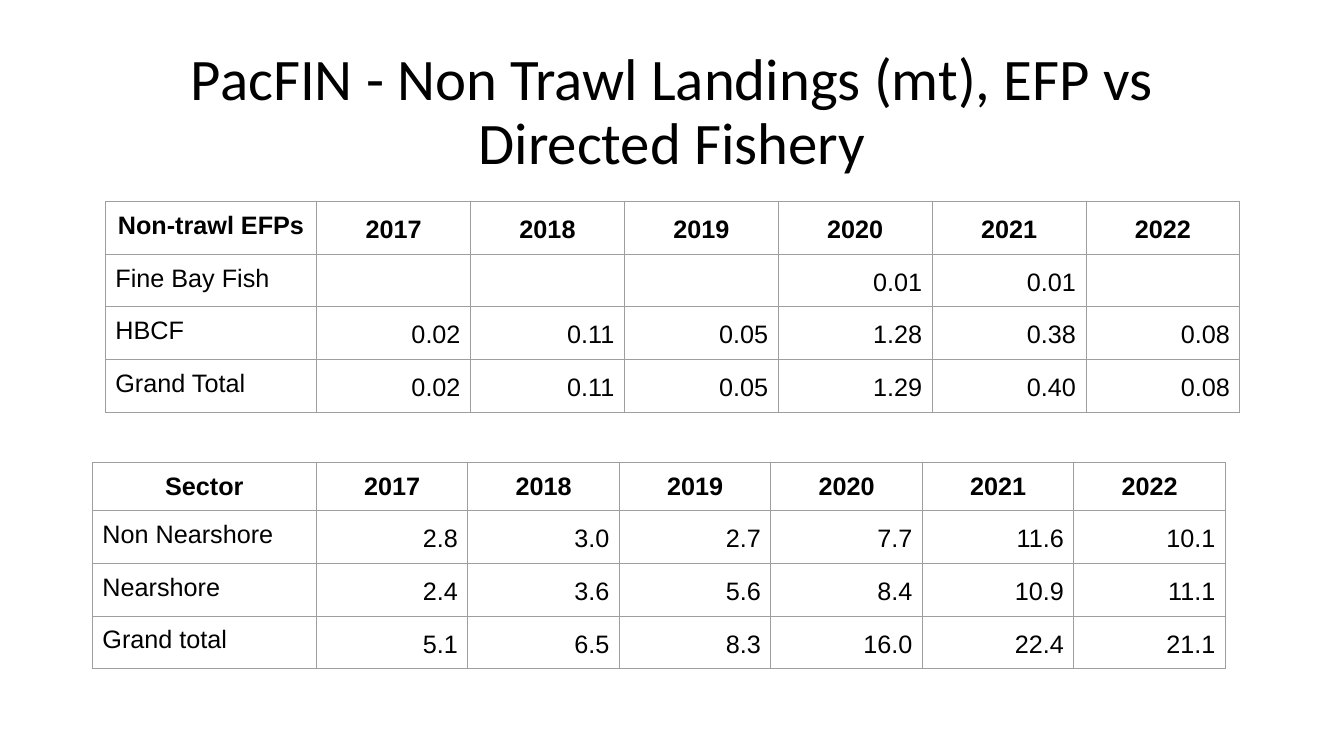
from lxml import etree
from pptx import Presentation
from pptx.dml.color import RGBColor
from pptx.enum.text import MSO_ANCHOR, PP_ALIGN
from pptx.oxml.ns import qn
from pptx.util import Pt

LEFT, CENTER, RIGHT = PP_ALIGN.LEFT, PP_ALIGN.CENTER, PP_ALIGN.RIGHT
TOP, MIDDLE = MSO_ANCHOR.TOP, MSO_ANCHOR.MIDDLE

# Content
TITLE = "PacFIN - Non Trawl Landings (mt), EFP vs Directed Fishery"
YEARS = ["2017", "2018", "2019", "2020", "2021", "2022"]
TABLES = [
    {
        "left": 75.25, "top": 144, "label_width": 151, "year_width": 109.9,
        "year_spacing": 1.15,
        "rows": [
            ["Non-trawl EFPs", *YEARS],
            ["Fine Bay Fish", "", "", "", "0.01", "0.01", ""],
            ["HBCF", "0.02", "0.11", "0.05", "1.28", "0.38", "0.08"],
            ["Grand Total", "0.02", "0.11", "0.05", "1.29", "0.40", "0.08"],
        ],
    },
    {
        "left": 66, "top": 330.25, "label_width": 160, "year_width": 108.25,
        "year_spacing": 1.0,
        "rows": [
            ["Sector", *YEARS],
            ["Non Nearshore", "2.8", "3.0", "2.7", "7.7", "11.6", "10.1"],
            ["Nearshore", "2.4", "3.6", "5.6", "8.4", "10.9", "11.1"],
            ["Grand total", "5.1", "6.5", "8.3", "16.0", "22.4", "21.1"],
        ],
    },
]
ROW_HEIGHT = 30.25
CELL_MARGIN = 7.2
BORDER_COLOR, BORDER_WIDTH = "9E9E9E", 0.75
TEXT_COLOR = "000000"


def color(hex_value):
    return RGBColor.from_string(hex_value)


def set_attributes(target, values):
    for name, value in values.items():
        setattr(target, name, value)


def write(text_frame, text, font, paragraph_format):
    paragraph = text_frame.paragraphs[0]
    set_attributes(paragraph, paragraph_format)
    run = paragraph.add_run()
    run.text = text
    set_attributes(run.font, font)
    run.font.color.rgb = color(TEXT_COLOR)


def add_borders(cell):
    properties = cell._tc.get_or_add_tcPr()
    for position, side in enumerate(("a:lnL", "a:lnR", "a:lnT", "a:lnB")):
        line = etree.Element(qn(side), w=str(Pt(BORDER_WIDTH)))
        fill = etree.SubElement(line, qn("a:solidFill"))
        etree.SubElement(fill, qn("a:srgbClr"), val=BORDER_COLOR)
        properties.insert(position, line)


def add_landings_table(slide, spec_values):
    rows = spec_values["rows"]
    widths = [spec_values["label_width"]] + [spec_values["year_width"]] * len(YEARS)
    frame = slide.shapes.add_table(
        len(rows), len(widths), Pt(spec_values["left"]), Pt(spec_values["top"]),
        Pt(sum(widths)), Pt(ROW_HEIGHT * len(rows)))
    table = frame.table
    set_attributes(table, {"first_row": False, "horz_banding": False})
    for column, width in zip(table.columns, widths):
        column.width = Pt(width)

    for row_index, row in enumerate(rows):
        table.rows[row_index].height = Pt(ROW_HEIGHT)
        for column_index, text in enumerate(row):
            cell = table.cell(row_index, column_index)
            cell.fill.background()
            add_borders(cell)
            margin = Pt(CELL_MARGIN)
            set_attributes(cell, {
                "margin_left": margin, "margin_right": margin,
                "margin_top": margin, "margin_bottom": margin,
                "vertical_anchor": TOP})
            if not text:
                continue
            header, label = row_index == 0, column_index == 0
            alignment = CENTER if header else LEFT if label else RIGHT
            spacing = 1.0 if label else spec_values["year_spacing"] if header else 1.15
            write(cell.text_frame, text,
                  {"name": "Arial", "size": Pt(18), "bold": header},
                  {"alignment": alignment, "line_spacing": spacing})


# Slide
presentation = Presentation()
set_attributes(presentation, {"slide_width": Pt(960), "slide_height": Pt(540)})
slide = presentation.slides.add_slide(presentation.slide_layouts[5])

# Title
title = slide.shapes.title
set_attributes(title, {"left": Pt(66), "top": Pt(28.75),
                       "width": Pt(828), "height": Pt(104.4)})
set_attributes(title.text_frame, {"word_wrap": True, "vertical_anchor": MIDDLE})
write(title.text_frame, TITLE, {"name": "Calibri", "size": Pt(42)},
      {"alignment": CENTER, "line_spacing": 0.9})

# Tables
for landings in TABLES:
    add_landings_table(slide, landings)

presentation.save("out.pptx")
